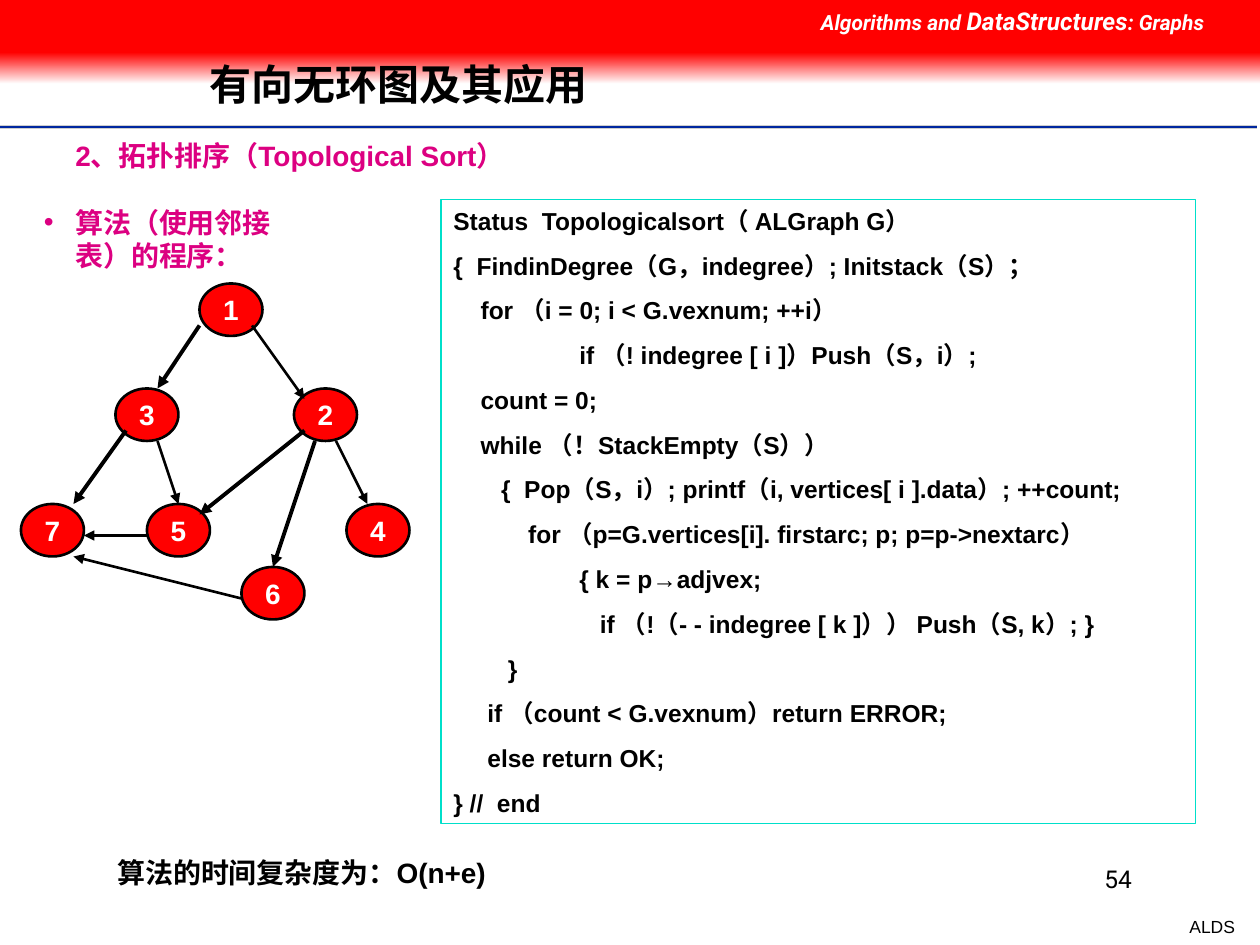
from lxml.etree import SubElement
from pptx import Presentation
from pptx.dml.color import RGBColor
from pptx.enum.shapes import MSO_CONNECTOR, MSO_SHAPE
from pptx.enum.text import MSO_ANCHOR, MSO_AUTO_SIZE, PP_ALIGN
from pptx.oxml.ns import qn
from pptx.util import Inches, Pt

COLORS = {name: RGBColor.from_string(value) for name, value in {
    "red": "FF0000", "white": "FFFFFF", "black": "000000", "magenta": "DC0081",
    "teal": "00DFCA", "navy": "00279F", "grey": "CECECE"}.items()}
UNIT = Inches(1) // 12  # the slide is a grid of 120 columns by 90 rows

deck = Presentation()
deck.slide_width, deck.slide_height = 120 * UNIT, 90 * UNIT
page = deck.slides.add_slide(deck.slide_layouts[5])


def write(box, lines, color="black", size=16, font="Arial", bold=True,
          italic=False, align=PP_ALIGN.LEFT, before=0):
    """Fill a box; each line is a list of (text, size) runs or a plain string."""
    frame = box.text_frame
    frame.word_wrap = True
    for index, line in enumerate(lines):
        para = frame.add_paragraph() if index else frame.paragraphs[0]
        para.alignment = align
        para.space_before = Pt(before if index else 0)
        for text, points in [(line, size)] if isinstance(line, str) else line:
            span = para.add_run()
            span.text = text
            span.font.name, span.font.size = font, Pt(points)
            span.font.bold, span.font.italic = bold, italic
            span.font.color.rgb = COLORS[color]
    return frame


def draw_line(start, end, color, width, arrow=False):
    """Connect two grid points, with an arrowhead at the end if wanted."""
    line = page.shapes.add_connector(
        MSO_CONNECTOR.STRAIGHT, *(round(value * UNIT) for value in (*start, *end)))
    line.line.color.rgb = COLORS[color]
    line.line.width = Pt(width)
    if arrow:
        SubElement(line.line._get_or_add_ln(), qn("a:tailEnd"), type="triangle")
    SubElement(line._element.spPr, qn("a:effectLst"))


# Header band: solid red, then a fade to white
for top, height in ((5, 3), (0, 5)):
    band = page.shapes.add_shape(MSO_SHAPE.RECTANGLE, 0, top * UNIT, 120 * UNIT, height * UNIT)
    band.shadow.inherit = False
    band.line.fill.background()
    if top:
        band.fill.gradient()
        band.fill.gradient_angle = 270
        for stop, name in zip(band.fill.gradient_stops, ("red", "white")):
            stop.color.rgb = COLORS[name]
    else:
        band.fill.solid()
        band.fill.fore_color.rgb = COLORS["red"]

# Rule under the title
for row, color, width in ((12.1, "grey", 2), (12.1, "navy", 1), (12.35, "white", 1)):
    draw_line((0, row), (119.75, row), color, width)

# Course name, slide number and footer
box = page.shapes.add_textbox(77 * UNIT, 0, 43 * UNIT, 4 * UNIT)
write(box, [[("Algorithms and ", 12), ("DataStructures", 14), (": Graphs", 12)]],
      "white", font="Roboto", italic=True)
box = page.shapes.add_textbox(86 * UNIT, Inches(6.81), 23 * UNIT, 6 * UNIT)
write(box, ["54"], size=14, font="Roboto", bold=False, align=PP_ALIGN.RIGHT)
box = page.shapes.add_textbox(Inches(9.34), Inches(7.22), Inches(0.56), Inches(0.27))
write(box, ["ALDS"], size=10, bold=False, align=PP_ALIGN.RIGHT).word_wrap = False

# Title, brought in front of the header band
title = page.shapes.title
page.shapes._spTree.append(title._element)
title.left, title.top, title.width, title.height = map(Inches, (1.56, 0.32, 7.55, 0.74))
frame = write(title, ["有向无环图及其应用"], size=24)
frame.auto_size = MSO_AUTO_SIZE.NONE
frame.vertical_anchor = MSO_ANCHOR.MIDDLE
frame.paragraphs[0].line_spacing = 0.9

# Section heading and bullet
for text, top, columns, bullet in (("2、拓扑排序（Topological Sort）", 1.05, 58, False),
                                   ("算法（使用邻接表）的程序：", 1.58, 30, True)):
    box = page.shapes.add_textbox(0, Inches(top), columns * UNIT, Inches(0.37))
    props = write(box, [text], "magenta").paragraphs[0]._p.get_or_add_pPr()
    props.set("marL", str(6 * UNIT))
    props.set("indent", str(-3 * UNIT if bullet else 0))
    if bullet:
        SubElement(props, qn("a:buFont"), typeface="Arial")
        SubElement(props, qn("a:buChar"), char="•")

# Graph nodes: column and row of the top left corner
nodes = {"1": (19, 27), "3": (11, 37), "2": (28, 37), "7": (2, 48),
         "5": (14, 48), "6": (23, 54), "4": (33, 48)}
for label, (column, row) in nodes.items():
    node = page.shapes.add_shape(MSO_SHAPE.OVAL, column * UNIT, row * UNIT, 6 * UNIT, 5 * UNIT)
    node.shadow.inherit = False
    node.fill.solid()
    node.fill.fore_color.rgb = COLORS["red"]
    node.line.color.rgb = COLORS["black"]
    node.line.width = Pt(1.5)
    frame = write(node, [label], "white", align=PP_ALIGN.CENTER)
    frame.word_wrap = False
    frame.vertical_anchor = MSO_ANCHOR.MIDDLE

# Graph edges: start, end and line width
edges = [((19, 31), (15, 37), 2.25), ((24, 31), (29, 38), 1.5),
         ((12, 41), (7, 48), 2.25), ((15, 42), (17, 48), 1.5),
         ((30, 42), (26, 54), 2.25), ((32, 42), (35, 48), 1.5),
         ((29, 41), (19, 49), 2.25), ((14, 51), (8, 51), 1.5),
         ((23, 57), (7, 53), 1.5)]
for start, end, width in edges:
    draw_line(start, end, "black", width, arrow=True)

# Program listing, with a tab stop one inch in
code = [
    "Status  Topologicalsort（ ALGraph G）",
    "{  FindinDegree（G，indegree）; Initstack（S）；",
    "    for （i = 0; i < G.vexnum; ++i）",
    "\tif （! indegree [ i ]）Push（S，i）;",
    "    count = 0;",
    "    while （！StackEmpty（S））",
    "       {  Pop（S，i）; printf（i, vertices[ i ].data）; ++count;",
    "           for （p=G.vertices[i]. firstarc; p; p=p->nextarc）",
    "\t{ k = p→adjvex;",
    "\t   if （!（- - indegree [ k ]）） Push（S, k）; }",
    "        }",
    "     if （count < G.vexnum）return ERROR;",
    "     else return OK;",
    "} //  end",
]
panel = page.shapes.add_shape(MSO_SHAPE.RECTANGLE, 42 * UNIT, 19 * UNIT, Inches(5.99), Inches(4.95))
panel.shadow.inherit = False
panel.fill.solid()
panel.fill.fore_color.rgb = COLORS["white"]
panel.line.color.rgb = COLORS["teal"]
panel.line.width = Pt(0.75)
frame = write(panel, code, size=14, before=8.8)
frame.vertical_anchor = MSO_ANCHOR.TOP
for para in frame.paragraphs:
    tabs = SubElement(para._p.get_or_add_pPr(), qn("a:tabLst"))
    SubElement(tabs, qn("a:tab"), pos=str(12 * UNIT), algn="l")

# Running time
box = page.shapes.add_textbox(10 * UNIT, Inches(6.74), Inches(7.8), Inches(0.37))
write(box, ["算法的时间复杂度为：O(n+e)"])

deck.save("out.pptx")
